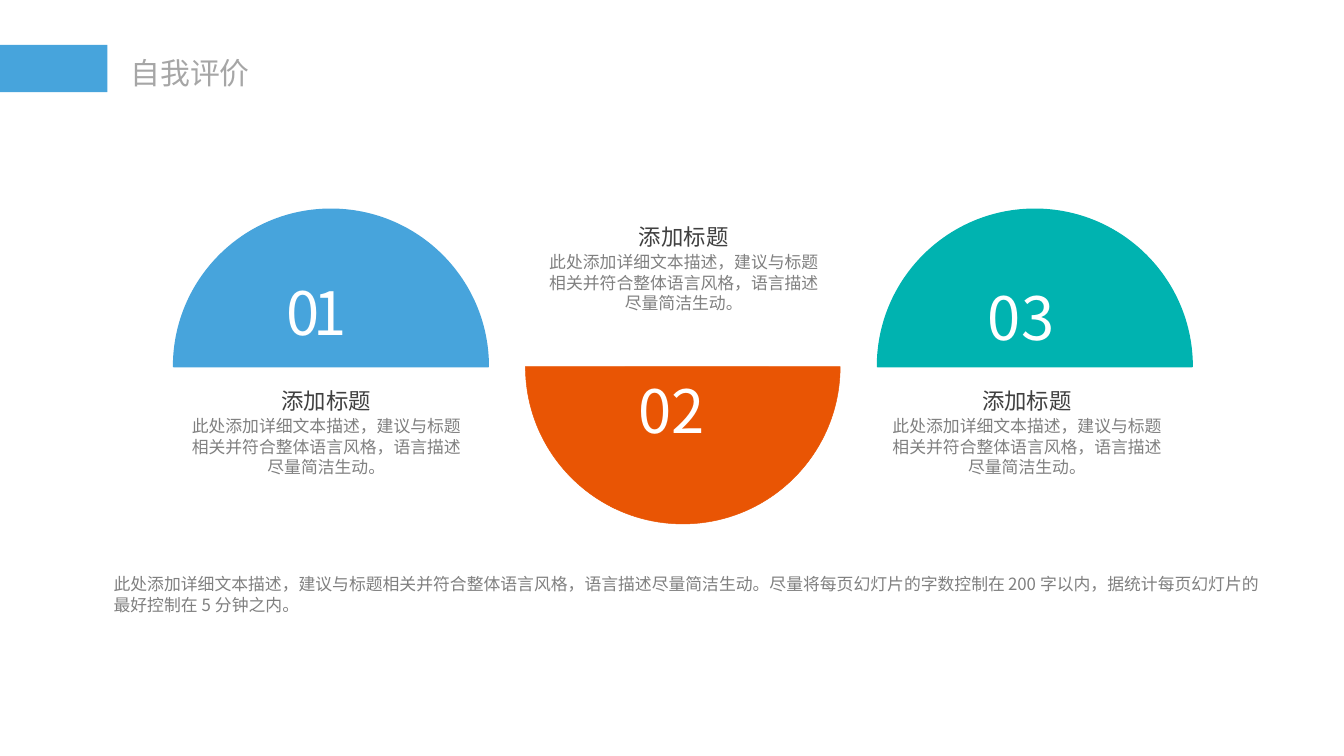
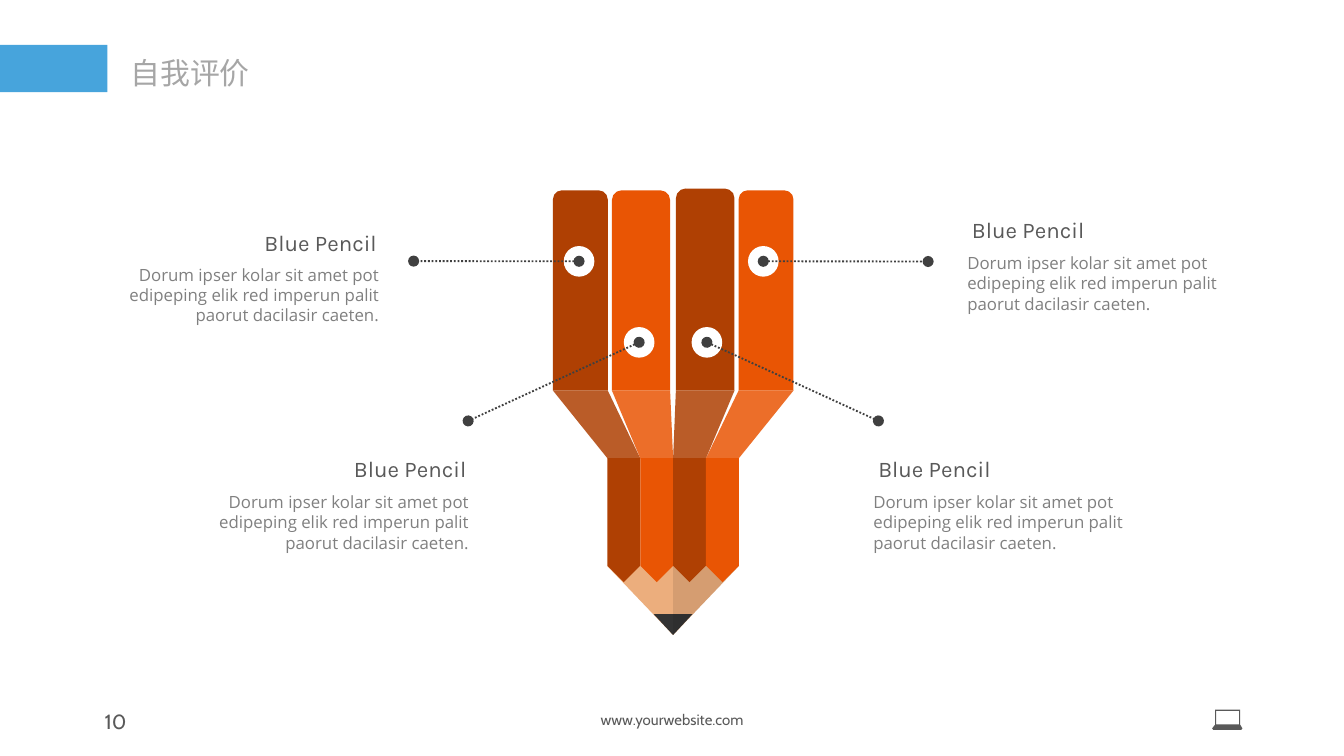
import pptx
import pptx.dml.color
import pptx.enum.dml
import pptx.enum.shapes
import pptx.enum.text
import pptx.oxml
import pptx.oxml.ns
import pptx.util

Pt = pptx.util.Pt
RGB = pptx.dml.color.RGBColor
SHAPE = pptx.enum.shapes.MSO_SHAPE
ALIGN = pptx.enum.text.PP_ALIGN
ANCHOR = pptx.enum.text.MSO_ANCHOR
qn = pptx.oxml.ns.qn

BLUE = RGB(0x47, 0xA4, 0xDC)
ORANGE = RGB(0xE9, 0x55, 0x04)
RUST = RGB(0xAF, 0x40, 0x03)
TEAL = RGB(0x00, 0xB3, 0xB0)
WOOD = RGB(0xEC, 0xAE, 0x7D)
LEAD = RGB(0x33, 0x33, 0x33)
SHADE = RGB(0x0D, 0x0D, 0x0D)
WHITE = RGB(0xFF, 0xFF, 0xFF)
DARK = RGB(0x40, 0x40, 0x40)
SLATE = RGB(0x59, 0x59, 0x59)
GREY = RGB(0x80, 0x80, 0x80)
LIGHT = RGB(0xA6, 0xA6, 0xA6)

CJK, CABIN, KARLA, OPEN = "Noto Sans CJK SC", "Cabin", "Karla", "Open Sans"

HEADING = "添加标题"
DETAIL = "此处添加详细文本描述，建议与标题相关并符合整体语言风格，语言描述尽量简洁生动。"
NOTE = DETAIL + "尽量将每页幻灯片的字数控制在200字以内，据统计每页幻灯片的最好控制在5分钟之内。"
LATIN_DETAIL = ("Dorum ipser kolar sit amet pot edipeping elik red imperun palit "
                "paorut dacilasir caeten.")


def sub(parent, tag, **attrs):
    e = pptx.oxml.parse_xml(f"<{tag} {pptx.oxml.ns.nsdecls('a')}/>")
    for key, value in attrs.items():
        e.set(key, str(value))
    parent.append(e)
    return e


class Deck:
    """Holds the presentation, the current slide and the shared style."""

    def __init__(self):
        self.prs = pptx.Presentation()
        self.prs.slide_width, self.prs.slide_height = Pt(720), Pt(405)
        self.s = None

    def slide(self, title):
        self.s = self.prs.slides.add_slide(self.prs.slide_layouts[5])
        self.shape(SHAPE.RECTANGLE, 0, 24, 57.6, 25.4, BLUE)
        sp = self.s.shapes.title
        sp.left, sp.top, sp.width, sp.height = Pt(64.1), Pt(26.6), Pt(75.6), Pt(25.2)
        self.frame(sp, inset=(5.8, 2.9), wrap=False)
        self.para(sp, title, 16, CJK, LIGHT, ALIGN.CENTER)

    def frame(self, sp, inset=(7.2, 3.6), anchor=ANCHOR.TOP, wrap=True):
        tf = sp.text_frame
        tf.auto_size = pptx.enum.text.MSO_AUTO_SIZE.NONE
        tf.word_wrap = wrap
        tf.vertical_anchor = anchor
        tf.margin_left = tf.margin_right = Pt(inset[0])
        tf.margin_top = tf.margin_bottom = Pt(inset[1])

    def para(self, sp, text, size, font, color, align=ALIGN.LEFT, before=0):
        """Fill the empty first paragraph, or add one after it."""
        tf = sp.text_frame
        p = tf.paragraphs[0] if not tf.text else tf.add_paragraph()
        p.alignment, p.space_before = align, Pt(before)
        r = p.add_run()
        r.text = text
        r.font.size, r.font.name = Pt(size), font
        r.font.color.rgb = color
        sub(r.font._element, "a:ea", typeface=font)
        return r

    def box(self, x, y, w, h, **frame):
        sp = self.s.shapes.add_textbox(Pt(x), Pt(y), Pt(w), Pt(h))
        self.frame(sp, **frame)
        return sp

    def paint(self, sp, color, alpha=None, line=None):
        sp.shadow.inherit = False
        sp.fill.solid()
        sp.fill.fore_color.rgb = color
        if alpha:
            clr = sp._element.spPr.find(qn("a:solidFill"))[0]
            sub(clr, "a:alpha", val=alpha * 1000)
        if line:
            sp.line.color.rgb, sp.line.width = color, Pt(line)
        else:
            sp.line.fill.background()
        return sp

    def shape(self, kind, x, y, w, h, color):
        return self.paint(self.s.shapes.add_shape(kind, Pt(x), Pt(y), Pt(w), Pt(h)), color)

    def outline(self, color, *contours, alpha=None, line=None):
        """Draw a closed freeform; later contours cut holes."""
        fb = None
        for pts in contours:
            pts = [(Pt(x), Pt(y)) for x, y in pts]
            if fb is None:
                fb = self.s.shapes.build_freeform(*pts[0])
            else:
                fb.move_to(*pts[0])
            fb.add_line_segments(pts[1:], close=True)
        return self.paint(fb.convert_to_shape(), color, alpha, line)

    def half_disc(self, cx, y, radius, up, color, line):
        """Outline a triangle, then bend its two slopes into quarter circles."""
        peak = y - radius if up else y + radius
        sp = self.outline(color, [(cx - radius, y), (cx, peak), (cx + radius, y)], line=line)
        r = Pt(radius)
        bend = int(r * 0.5523)
        base, top = (r, 0) if up else (0, r)
        shoulder = base - bend if up else base + bend
        quarters = [
            [(0, shoulder), (r - bend, top), (r, top)],
            [(r + bend, top), (2 * r, shoulder), (2 * r, base)],
        ]
        slopes = list(sp._element.spPr.iter(qn("a:lnTo")))
        for slope, pts in zip(slopes, quarters):
            curve = sub(slope.getparent(), "a:cubicBezTo")
            for px, py in pts:
                sub(curve, "a:pt", x=px, y=py)
            slope.getparent().replace(slope, curve)

    def dotted_line(self, x1, y1, x2, y2):
        c = self.s.shapes.add_connector(pptx.enum.shapes.MSO_CONNECTOR.STRAIGHT,
                                        Pt(x1), Pt(y1), Pt(x2), Pt(y2))
        c.line.color.rgb, c.line.width = DARK, Pt(1)
        c.line.dash_style = pptx.enum.dml.MSO_LINE.ROUND_DOT
        ln = c.line._get_or_add_ln()
        sub(ln, "a:headEnd", type="oval")
        sub(ln, "a:tailEnd", type="oval")
        sub(c._element.spPr, "a:effectLst")


def half_disc_slide(d):
    d.slide("自我评价")
    base, radius = 196.4, 84.3
    # centre, points up, colour, line width, number, number x and y
    discs = [
        (177.3, True, BLUE, 0.75, "01", 146.2, 144),
        (365.8, False, ORANGE, 0.25, "02", 334.8, 196.6),
        (554.4, True, TEAL, 0.75, "03", 522.2, 146.9),
    ]
    for cx, up, color, line, number, x, y in discs:
        d.half_disc(cx, base, radius, up, color, line)
        if up:
            sp = d.box(x, y, 77, 46)
        else:
            sp = d.shape(SHAPE.RECTANGLE, x, y, 77, 46, color)
            d.frame(sp)
        r = d.para(sp, number, 32, CJK, WHITE)
        if number == "01":
            r.font._element.set("spc", "-300")

    for x, y in [(93.4, 203.8), (284.9, 115.9), (468.8, 203.8)]:
        sp = d.box(x, y, 162.7, 72)
        d.para(sp, HEADING, 12, CJK, DARK, ALIGN.CENTER)
        d.para(sp, DETAIL, 9, CJK, GREY, ALIGN.CENTER, before=1.2)

    d.para(d.box(53.8, 304, 629.3, 48.2), NOTE, 9, CJK, GREY)


def draw_pencil(d):
    neck_left, neck_w, neck_top, neck_h = 325.4, 17.6, 245.5, 66.4
    shoulder = 209.2
    neck_right = neck_left + 4 * neck_w
    mid = (neck_left + neck_right) / 2
    wood_top, tip = 303.3, 340.2
    d.outline(WOOD, [(mid, tip), (neck_left, wood_top), (neck_right, wood_top)])
    d.outline(LEAD, [(mid, tip), (mid + 10.4, 329), (mid - 10.4, 329)])
    d.outline(SHADE, [(mid, tip), (neck_right, wood_top), (mid, wood_top)], alpha=10)

    # left, top, width, colour
    planks = [
        (296.2, 102, 29.4, RUST),
        (327.8, 102, 31.2, ORANGE),
        (362.1, 101, 31.4, RUST),
        (395.7, 102, 29.4, ORANGE),
    ]
    for i, (x, top, w, color) in enumerate(planks):
        nx = neck_left + i * neck_w
        # Laid out sideways about its centre, then turned to point down
        sp = d.shape(SHAPE.PENTAGON, nx + (neck_w - neck_h) / 2,
                     neck_top + (neck_h - neck_w) / 2, neck_h, neck_w, color)
        sp.rotation = 90
        d.outline(color, [(x, shoulder), (nx, neck_top), (nx + neck_w, neck_top),
                          (x + w, shoulder)], alpha=85)
        d.shape(SHAPE.ROUND_2_SAME_RECTANGLE, x, top, w, shoulder - top, color)


def draw_footer(d):
    sp = d.box(45.4, 377, 33.1, 18.7, inset=(5, 2.9))
    d.para(sp, "10", 11, CABIN, SLATE, ALIGN.CENTER)
    sp = d.box(229.4, 378, 261.4, 15.1, inset=(5, 2.9))
    d.para(sp, "www.yourwebsite.com", 8, CABIN, SLATE, ALIGN.CENTER)
    laptop = [(651, 380.2), (664.4, 380.2), (664.4, 388.2), (665.6, 390.2),
              (665, 391), (650, 391), (649.4, 390.2), (651, 388.2)]
    screen = [(651.6, 380.9), (663.8, 380.9), (663.8, 388), (651.6, 388)]
    d.outline(SLATE, laptop, screen)


def pencil_slide(d):
    d.slide("自我评价")
    draw_pencil(d)
    hole = 16.4
    # hole centre, line end, heading corner, detail corner, alignment
    callouts = [
        ((310.2, 140), (221.6, 139.9), (90.2, 122.4), (65.3, 141.8), ALIGN.RIGHT),
        ((408.9, 140), (497.2, 140.1), (513.6, 115.2), (518.2, 135.4), ALIGN.LEFT),
        ((342.4, 183.4), (250.8, 225.5), (138.2, 243.4), (113.4, 263.5), ALIGN.RIGHT),
        ((378.7, 183.4), (470.6, 225.5), (463.4, 243.4), (467.9, 263.5), ALIGN.LEFT),
    ]
    for (cx, cy), end, heading, detail, align in callouts:
        d.shape(SHAPE.OVAL, cx - hole / 2, cy - hole / 2, hole, hole, WHITE)
        d.dotted_line(cx, cy, *end)
        sp = d.box(*heading, 118.8, 15.1, anchor=ANCHOR.MIDDLE)
        d.para(sp, "Blue Pencil", 12, KARLA, SLATE, align)
        sp = d.box(*detail, 137.6, 32.4, inset=(0, 0))
        d.para(sp, LATIN_DETAIL, 9, OPEN, GREY, align)
    draw_footer(d)


def main():
    d = Deck()
    half_disc_slide(d)
    pencil_slide(d)
    d.prs.save("out.pptx")


if __name__ == "__main__":
    main()
